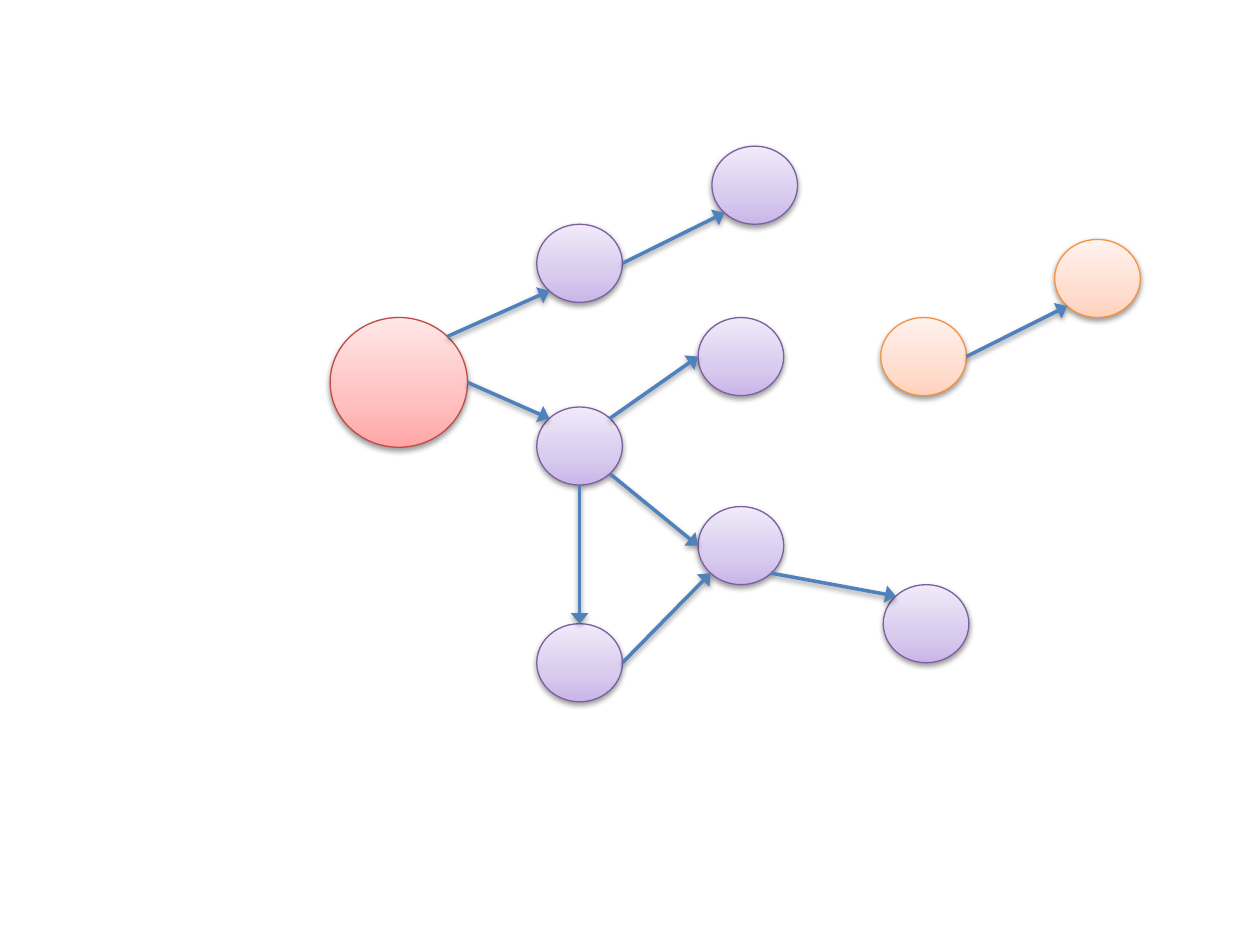
from math import cos, radians, sin
from copy import deepcopy
from lxml.etree import SubElement
from pptx import Presentation
from pptx.dml.color import RGBColor
from pptx.enum.shapes import MSO_CONNECTOR, MSO_SHAPE
from pptx.oxml.ns import qn
from pptx.util import Inches, Pt

# Theme: node outline, then gradient colours from bottom to top
theme = {
    "red": ("BF4C48", "FFA6A5", "FFC0BF", "FFE7E7"),
    "violet": ("7D60A0", "C9B5E8", "D8CBEE", "F0EAF9"),
    "orange": ("F69240", "FFD2BD", "FFDED0", "FFF2ED"),
    "arrow": "4F81BD",
    "shadow": "000000",
}
stops = (0, 0.35, 1)
big, small = (1.09, 1.03), (0.68, 0.62)

# Nodes: left, top, size, colour
nodes = {
    "root": (2.62, 2.52, big, "red"),
    "upper": (4.26, 1.78, small, "violet"),
    "hub": (4.26, 3.23, small, "violet"),
    "top": (5.65, 1.16, small, "violet"),
    "mid": (5.54, 2.52, small, "violet"),
    "end": (7.01, 4.64, small, "violet"),
    "join": (5.54, 4.02, small, "violet"),
    "low": (4.26, 4.95, small, "violet"),
    "start": (6.99, 2.52, small, "orange"),
    "goal": (8.37, 1.9, small, "orange"),
}

# Arrows: node and clockwise angle of each end, 0 at the right
links = [
    ("root", 0, "hub", 225),
    ("hub", 315, "mid", 180),
    ("hub", 90, "low", 270),
    ("hub", 45, "join", 180),
    ("join", 45, "end", 225),
    ("low", 0, "join", 135),
    ("root", 315, "upper", 135),
    ("upper", 0, "top", 135),
    ("start", 0, "goal", 135),
]


def shade(item):
    props = item._element.spPr
    effects = SubElement(props, qn("a:effectLst"))
    drop = SubElement(effects, qn("a:outerShdw"), blurRad="40000",
                      dist="20000", dir="5400000", rotWithShape="0")
    tint = SubElement(drop, qn("a:srgbClr"), val=theme["shadow"])
    SubElement(tint, qn("a:alpha"), val="38000")


def rim(name, angle):
    left, top, (wide, high), _ = nodes[name]
    turn = radians(angle)
    return (Inches(left + wide / 2 * (1 + cos(turn))),
            Inches(top + high / 2 * (1 + sin(turn))))


deck = Presentation()
deck.slide_width, deck.slide_height = Inches(10), Inches(7.5)
slide = deck.slides.add_slide(deck.slide_layouts[6])

# Draw the nodes
for left, top, (wide, high), tone in nodes.values():
    node = slide.shapes.add_shape(MSO_SHAPE.OVAL, Inches(left), Inches(top),
                                  Inches(wide), Inches(high))
    edge, *tints = theme[tone]
    node.fill.gradient()
    node.fill.gradient_angle = 90
    marks = node._element.spPr.find(".//" + qn("a:gsLst"))
    marks.append(deepcopy(marks[0]))
    for stop, place, tint in zip(node.fill.gradient_stops, stops, tints):
        stop.position = place
        stop.color.rgb = RGBColor.from_string(tint)
    node.line.color.rgb = RGBColor.from_string(edge)
    node.line.width = Pt(0.75)
    shade(node)

# Draw the arrows
for first, leave, last, reach in links:
    arrow = slide.shapes.add_connector(MSO_CONNECTOR.STRAIGHT,
                                       *rim(first, leave), *rim(last, reach))
    arrow.line.color.rgb = RGBColor.from_string(theme["arrow"])
    arrow.line.width = Pt(2)
    SubElement(arrow.line._get_or_add_ln(), qn("a:tailEnd"),
               type="triangle", w="lg", len="med")
    shade(arrow)

deck.save("out.pptx")
